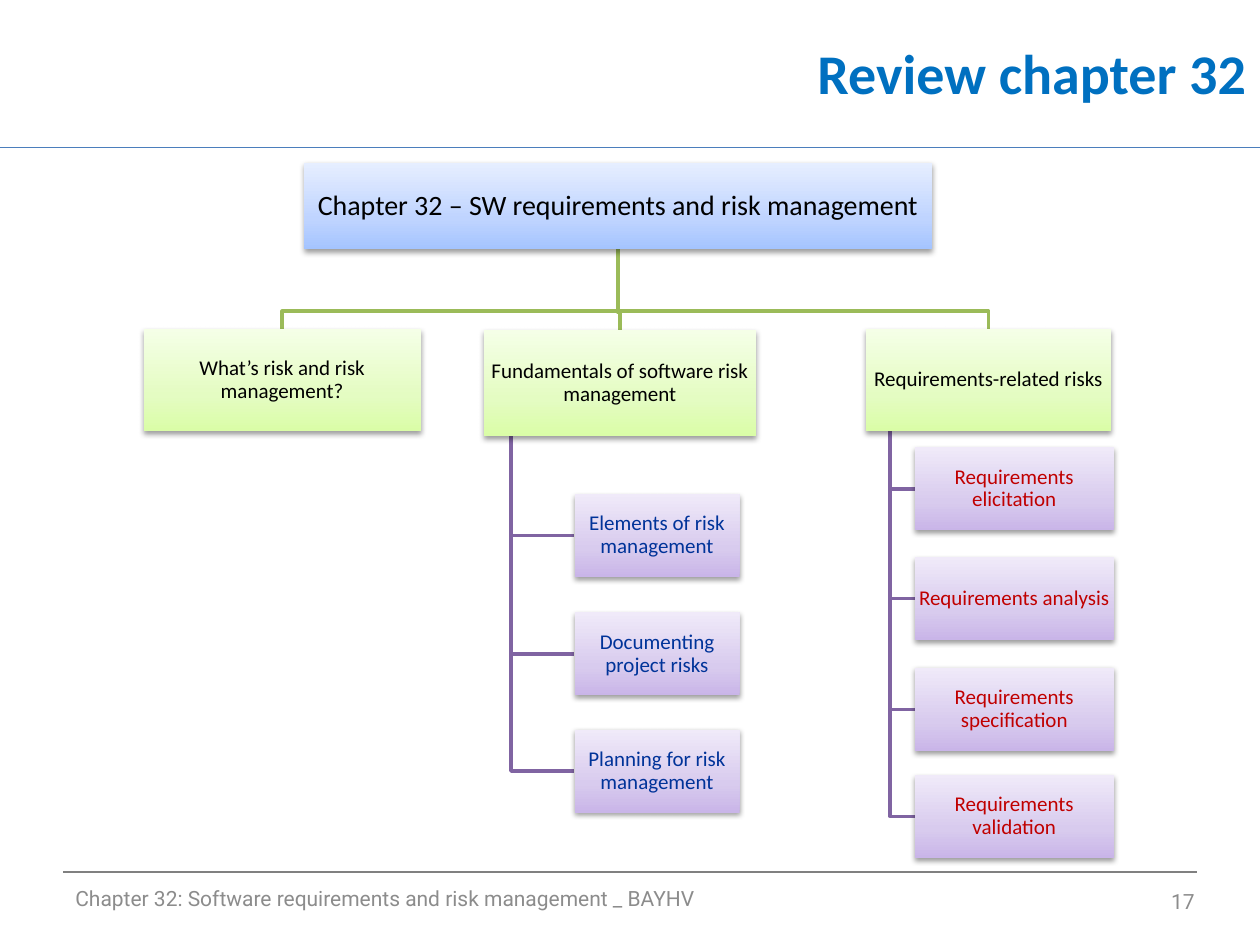
"""Build the chapter 32 review slide with its hierarchy chart."""
from copy import deepcopy

from pptx import Presentation
from pptx.dml.color import RGBColor
from pptx.enum.shapes import MSO_CONNECTOR, MSO_SHAPE
from pptx.enum.text import MSO_ANCHOR, PP_ALIGN
from pptx.oxml import parse_xml
from pptx.oxml.ns import nsdecls, qn
from pptx.util import Inches, Pt

TITLE_BLUE = RGBColor(0x00, 0x70, 0xC0)
RULE_BLUE = RGBColor(0x4B, 0x7E, 0xBC)
RULE_GRAY = RGBColor(0x80, 0x80, 0x80)
FOOTER_GRAY = RGBColor(0x8C, 0x8C, 0x8C)
BLACK = RGBColor(0x00, 0x00, 0x00)
NAVY = RGBColor(0x00, 0x33, 0x99)
RED = RGBColor(0xC0, 0x00, 0x00)
GREEN_LINE = RGBColor(0x9B, 0xBB, 0x59)
PURPLE_LINE = RGBColor(0x80, 0x64, 0xA2)
BLUE_STOPS = [RGBColor(0xA4, 0xC4, 0xFF), RGBColor(0xBF, 0xD4, 0xFF), RGBColor(0xE6, 0xEE, 0xFF)]
GREEN_STOPS = [RGBColor(0xDA, 0xFD, 0xA7), RGBColor(0xE4, 0xFC, 0xC2), RGBColor(0xF5, 0xFF, 0xE7)]
PURPLE_STOPS = [RGBColor(0xC9, 0xB5, 0xE8), RGBColor(0xD8, 0xCB, 0xEE), RGBColor(0xF0, 0xEA, 0xF9)]

SHADOW = (
    f'<a:outerShdw {nsdecls("a")} blurRad="40000" dist="20000" dir="5400000" rotWithShape="0">'
    '<a:srgbClr val="000000"><a:alpha val="38000"/></a:srgbClr></a:outerShdw>'
)

presentation = Presentation()
presentation.slide_width, presentation.slide_height = Inches(10), Inches(7.5)
slide = presentation.slides.add_slide(presentation.slide_layouts[6])


def draw_elbow(points, color):
    corners = [(Inches(x), Inches(y)) for x, y in points]
    builder = slide.shapes.build_freeform(*corners[0])
    builder.add_line_segments(corners[1:], close=False)
    shape = builder.convert_to_shape()
    shape.fill.background()
    shape.line.color.rgb = color
    shape.line.width = Pt(2)
    shape.shadow.inherit = False


def draw_box(bounds, text, size, color, stops):
    shape = slide.shapes.add_shape(MSO_SHAPE.RECTANGLE, *map(Inches, bounds))
    shape.line.fill.background()
    shape.shadow.inherit = False
    properties = shape._element.spPr
    properties.find(qn("a:effectLst")).append(parse_xml(SHADOW))
    shape.fill.gradient()
    shape.fill.gradient_angle = 90
    stop_list = properties.find(".//" + qn("a:gsLst"))
    stop_list.insert(1, deepcopy(stop_list[0]))
    for stop, position, stop_color in zip(shape.fill.gradient_stops, (0, 0.35, 1), stops):
        stop.position = position
        stop.color.rgb = stop_color
    frame = shape.text_frame
    frame.text = text
    frame.word_wrap = True
    frame.vertical_anchor = MSO_ANCHOR.MIDDLE
    frame.margin_left = frame.margin_right = Inches(0.01)
    frame.margin_top = frame.margin_bottom = Inches(0.01)
    paragraph = frame.paragraphs[0]
    paragraph.alignment = PP_ALIGN.CENTER
    paragraph.line_spacing = 0.9
    font = paragraph.runs[0].font
    font.name, font.size, font.color.rgb = "Calibri", Pt(size), color


for left, right, y, color in [(0, 10, 1.17, RULE_BLUE), (0.5, 9.5, 6.92, RULE_GRAY)]:
    rule = slide.shapes.add_connector(
        MSO_CONNECTOR.STRAIGHT, Inches(left), Inches(y), Inches(right), Inches(y)
    )
    rule.line.color.rgb = color
    rule.line.width = Pt(0.75)
    rule._element.spPr.append(parse_xml(f'<a:effectLst {nsdecls("a")}/>'))

footer = "Chapter 32: Software requirements and risk management _ BAYHV"
for bounds, text, alignment, name, size, color, bold in [
    ((2.9, 0, 7.09, 1.15), "Review chapter 32", PP_ALIGN.RIGHT, "Calibri", 32, TITLE_BLUE, True),
    ((0.5, 6.93, 6.67, 0.4), footer, PP_ALIGN.LEFT, "Roboto", 12, FOOTER_GRAY, False),
    ((7.25, 6.95, 2.33, 0.4), "17", PP_ALIGN.RIGHT, "Roboto", 12, FOOTER_GRAY, False),
]:
    frame = slide.shapes.add_textbox(*map(Inches, bounds)).text_frame
    frame.text = text
    frame.word_wrap = True
    frame.vertical_anchor = MSO_ANCHOR.MIDDLE
    frame.paragraphs[0].alignment = alignment
    font = frame.paragraphs[0].runs[0].font
    font.name, font.size, font.color.rgb, font.bold = name, Pt(size), color, bold

ROOT = (2.41, 1.29, 4.99, 0.69)
TOPIC_HEIGHT = 0.66
branches = [
    ((1.14, 2.61, 2.2, 0.81), "What’s risk and risk management?", BLACK, 0, 0, []),
    ((3.84, 2.62, 2.16, 0.84), "Fundamentals of software risk management", NAVY, 4.56, 1.31, [
        (3.92, "Elements of risk management"),
        (4.86, "Documenting project risks"),
        (5.79, "Planning for risk management"),
    ]),
    ((6.87, 2.61, 1.95, 0.81), "Requirements-related risks", RED, 7.26, 1.58, [
        (3.55, "Requirements elicitation"),
        (4.42, "Requirements analysis"),
        (5.3, "Requirements specification"),
        (6.15, "Requirements validation"),
    ]),
]

root_x, root_bottom = ROOT[0] + ROOT[2] / 2, ROOT[1] + ROOT[3]
for (left, top, width, height), _, _, topic_left, _, topics in branches:
    center, bend = left + width / 2, top - 0.14
    draw_elbow([(root_x, root_bottom), (root_x, bend), (center, bend), (center, top)], GREEN_LINE)
    trunk, bottom = left + width / 10, top + height
    for topic_top, _ in topics:
        middle = topic_top + TOPIC_HEIGHT / 2
        draw_elbow([(trunk, bottom), (trunk, middle), (topic_left, middle)], PURPLE_LINE)

draw_box(ROOT, "Chapter 32 – SW requirements and risk management", 16, BLACK, BLUE_STOPS)
for bounds, heading, topic_color, topic_left, topic_width, topics in branches:
    draw_box(bounds, heading, 12, BLACK, GREEN_STOPS)
    for topic_top, topic in topics:
        topic_bounds = (topic_left, topic_top, topic_width, TOPIC_HEIGHT)
        draw_box(topic_bounds, topic, 12, topic_color, PURPLE_STOPS)

presentation.save("out.pptx")
